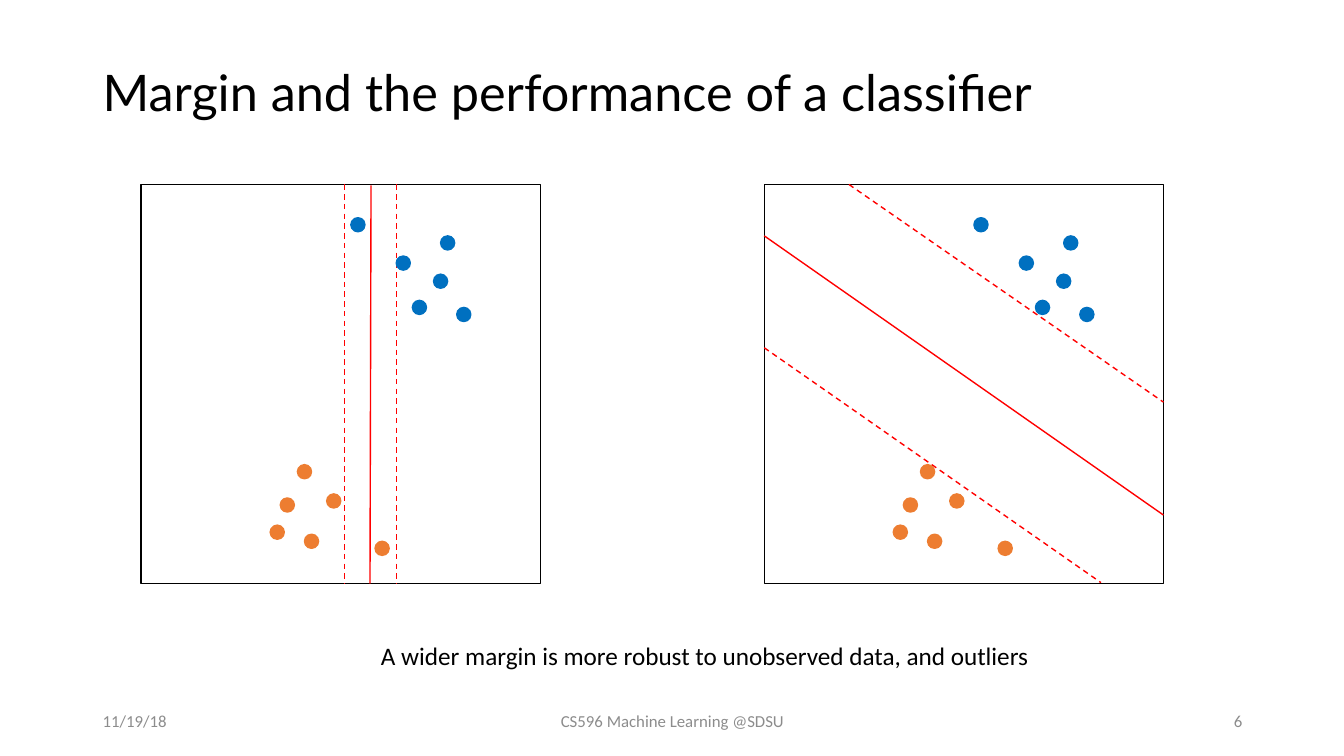
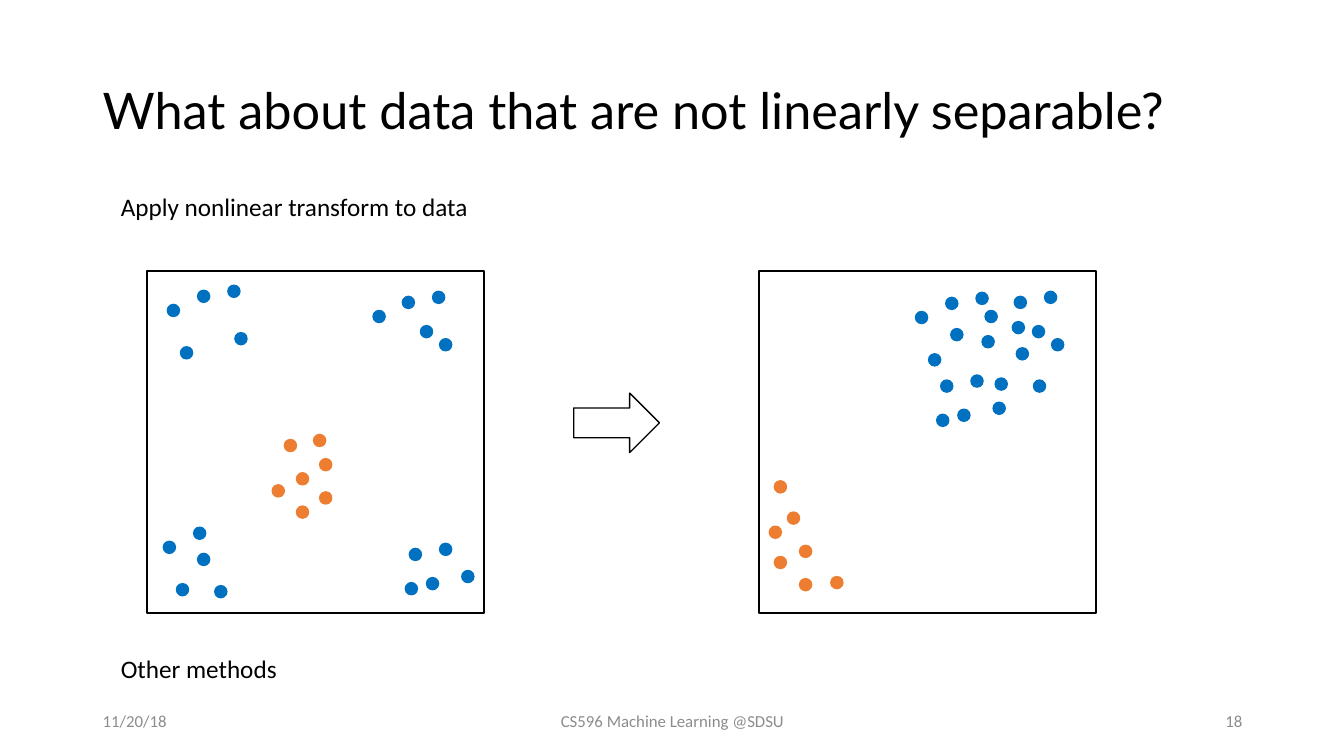
from lxml.etree import SubElement
from pptx import Presentation
from pptx.dml.color import RGBColor
from pptx.enum.dml import MSO_LINE
from pptx.enum.shapes import MSO_CONNECTOR, MSO_SHAPE
from pptx.enum.text import MSO_ANCHOR, MSO_AUTO_SIZE, PP_ALIGN
from pptx.oxml.ns import qn
from pptx.util import Inches, Pt

BLACK = RGBColor(0x00, 0x00, 0x00)
GRAY = RGBColor(0x8C, 0x8C, 0x8C)
RED = RGBColor(0xFF, 0x00, 0x00)
BLUE = RGBColor(0x00, 0x70, 0xC0)
ORANGE = RGBColor(0xED, 0x7D, 0x31)

COLUMNS, ROWS = 1333, 750
CELL = Inches(0.01)

TITLE_FONT, BODY_FONT = "Lato", "Calibri"
MARGIN, TITLE_TOP, TITLE_WIDTH = 92, 40, 1150
FOOTER_TOP, FOOTER_HEIGHT = 695, 40
COURSE = "CS596 Machine Learning @SDSU"

MARGIN_DOTS = [
    (BLUE, [(297, 51), (313, 122), (253, 71), (290, 89), (269, 115), (208, 33)]),
    (ORANGE, [(155, 278), (184, 307), (128, 338), (138, 311), (162, 347), (232, 354)]),
]
NARROW_MARGIN = [
    ((228, 1), (227, 396), False),
    ((202, 0), (202, 396), True),
    ((253, 0), (253, 396), True),
]
WIDE_MARGIN = [
    ((0, 51), (396, 328), False),
    ((0, 162), (334, 395), True),
    ((84, 0), (396, 216), True),
]

BLUE_CLUSTERS = [
    {"dots": [(50, 280), (67, 312), (16, 268), (46, 254), (29, 310)], "shift": (205, -204)},
    {"dots": [(80, 14), (20, 33), (50, 19), (33, 75)], "shift": (135, 7)},
    {"dots": [(87, 61)], "shift": (103, -4)},
    {"dots": [(290, 67), (283, 20), (224, 39), (253, 25), (271, 54)], "shift": (0, 0)},
    {"dots": [(312, 297), (290, 270), (256, 309), (260, 275), (277, 304)], "shift": (-80, -167)},
]
ORANGE_CENTER = [(165, 162), (124, 212), (171, 219), (136, 167), (148, 233), (171, 186), (148, 200)]
ORANGE_CORNER = [(10, 253), (15, 283), (71, 303), (28, 239), (40, 305), (15, 208), (40, 272)]


def cluster_dots(transformed):
    return [
        (x + transformed * cluster["shift"][0], y + transformed * cluster["shift"][1])
        for cluster in BLUE_CLUSTERS
        for x, y in cluster["dots"]
    ]


SLIDES = [
    {
        "title": "Margin and the performance of a classifier",
        "title_height": 108,
        "date": "11/19/18",
        "number": "6",
        "notes": [("A wider margin is more robust to unobserved data, and outliers", 368, 630, 670)],
        "plot_top": 183,
        "plot_size": (396, 396),
        "dot_size": 14,
        "plots": [
            {"left": 140, "lines": NARROW_MARGIN, "dots": MARGIN_DOTS},
            {"left": 758, "lines": WIDE_MARGIN, "dots": MARGIN_DOTS},
        ],
        "arrows": [],
    },
    {
        "title": "What about data that are not linearly separable?",
        "title_height": 145,
        "date": "11/20/18",
        "number": "18",
        "notes": [
            ("Apply nonlinear transform to data", 110, 185, 368),
            ("Other methods", 110, 643, 177),
        ],
        "plot_top": 269,
        "plot_size": (334, 339),
        "dot_size": 12,
        "plots": [
            {"left": 146, "lines": [], "dots": [(BLUE, cluster_dots(False)), (ORANGE, ORANGE_CENTER)]},
            {"left": 753, "lines": [], "dots": [(BLUE, cluster_dots(True)), (ORANGE, ORANGE_CORNER)]},
        ],
        "arrows": [(569, 390, 85, 59)],
    },
]


def cells(*lengths):
    return [length * CELL for length in lengths]


def add_text(slide, text, box, size, color=BLACK, font=BODY_FONT, align=PP_ALIGN.LEFT,
             anchor=MSO_ANCHOR.MIDDLE, wrap=True, spacing=None):
    frame = slide.shapes.add_textbox(*cells(*box)).text_frame
    frame.word_wrap = wrap
    frame.auto_size = MSO_AUTO_SIZE.NONE if wrap else MSO_AUTO_SIZE.SHAPE_TO_FIT_TEXT
    frame.vertical_anchor = anchor
    paragraph = frame.paragraphs[0]
    paragraph.text = text
    paragraph.alignment = align
    paragraph.line_spacing = spacing
    paragraph.font.name = font
    paragraph.font.size = Pt(size)
    paragraph.font.color.rgb = color


def add_outline(slide, preset, box, color=BLACK, filled=False):
    shape = slide.shapes.add_shape(preset, *cells(*box))
    shape.shadow.inherit = False
    if filled:
        shape.fill.solid()
        shape.fill.fore_color.rgb = color
    else:
        shape.fill.background()
    shape.line.color.rgb = color
    shape.line.width = Pt(1)


def add_boundary(slide, start, end, dashed):
    connector = slide.shapes.add_connector(MSO_CONNECTOR.STRAIGHT, *cells(*start, *end))
    connector.line.color.rgb = RED
    connector.line.width = Pt(1)
    if dashed:
        connector.line.dash_style = MSO_LINE.DASH
    SubElement(connector._element.spPr, qn("a:effectLst"))


def add_plot(slide, plot, top, size, dot_size):
    left = plot["left"]
    add_outline(slide, MSO_SHAPE.RECTANGLE, (left, top, *size))
    for (x1, y1), (x2, y2), dashed in plot["lines"]:
        add_boundary(slide, (left + x1, top + y1), (left + x2, top + y2), dashed)
    for color, dots in plot["dots"]:
        for x, y in dots:
            add_outline(slide, MSO_SHAPE.OVAL, (left + x, top + y, dot_size, dot_size), color, True)


def add_frame(slide, content):
    add_text(slide, content["title"], (MARGIN, TITLE_TOP, TITLE_WIDTH, content["title_height"]),
             36, font=TITLE_FONT, spacing=0.9)
    footers = [
        (content["date"], MARGIN, 300, PP_ALIGN.LEFT),
        (COURSE, 442, 450, PP_ALIGN.CENTER),
        (content["number"], MARGIN + TITLE_WIDTH - 300, 300, PP_ALIGN.RIGHT),
    ]
    for text, left, width, align in footers:
        add_text(slide, text, (left, FOOTER_TOP, width, FOOTER_HEIGHT), 12, GRAY, align=align)


def main():
    presentation = Presentation()
    presentation.slide_width, presentation.slide_height = cells(COLUMNS, ROWS)
    for content in SLIDES:
        slide = presentation.slides.add_slide(presentation.slide_layouts[6])
        add_frame(slide, content)
        for text, left, top, width in content["notes"]:
            add_text(slide, text, (left, top, width, 40), 18, anchor=MSO_ANCHOR.TOP, wrap=False)
        for plot in content["plots"]:
            add_plot(slide, plot, content["plot_top"], content["plot_size"], content["dot_size"])
        for box in content["arrows"]:
            add_outline(slide, MSO_SHAPE.RIGHT_ARROW, box)
    presentation.save("out.pptx")


if __name__ == "__main__":
    main()
